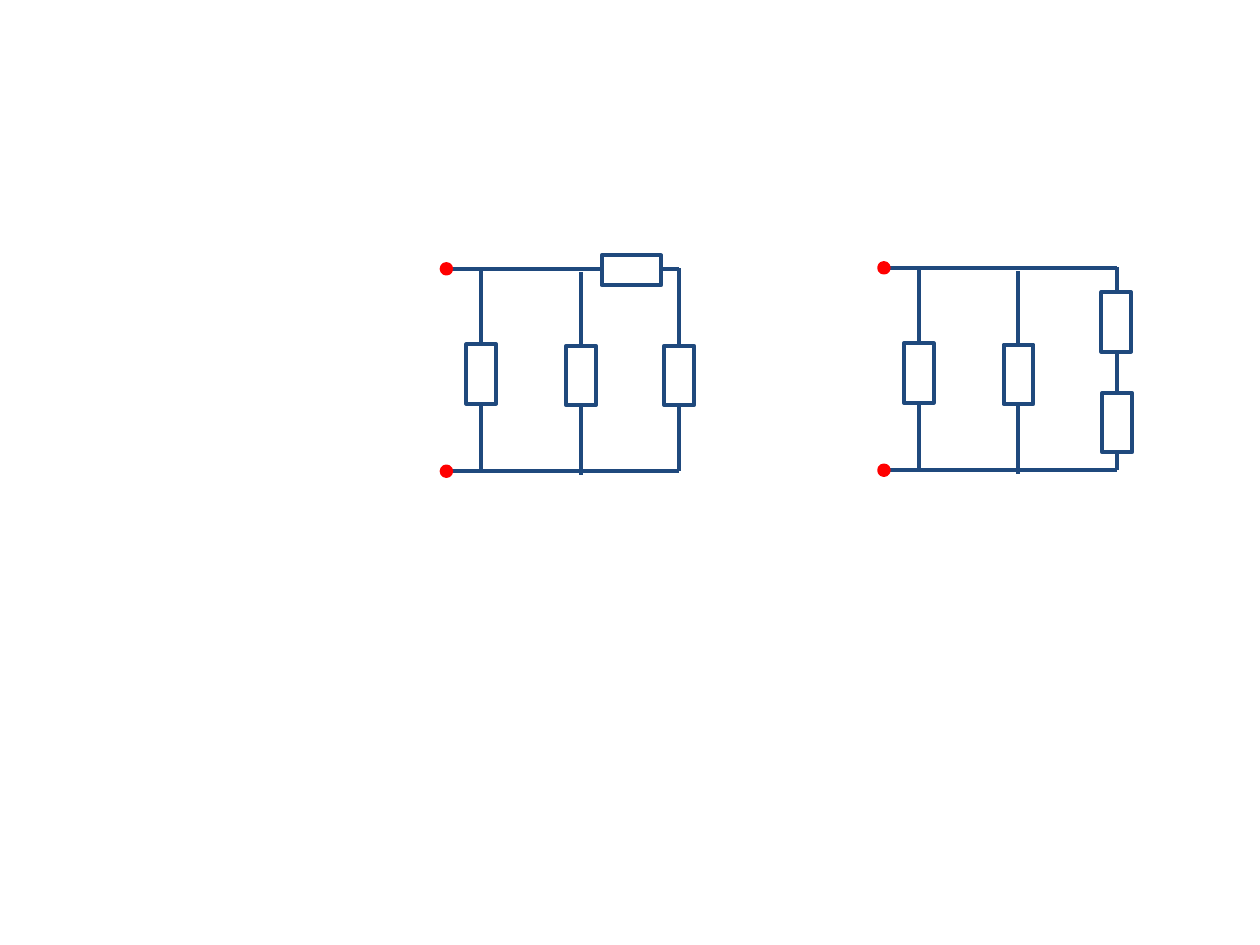
import pptx
import pptx.util
import pptx.dml.color
import pptx.enum.shapes
import pptx.oxml.ns
from lxml import etree
from pptx.util import Cm, Pt

HUES = {"wire": "1F497D", "body": "FFFFFF", "pole": "FF0000"}
KINDS = pptx.enum.shapes.MSO_SHAPE
LEFT, RIGHT = 9.09, 13.69
TOP, BASE = 5.42, 9.5
STEMS = [(9.7, 5.43, 9.52), (11.71, 5.49, 9.57), (RIGHT, 5.4, BASE)]


def hue(name):
    return pptx.dml.color.RGBColor.from_string(HUES[name])


def edge(line, name, width):
    line.color.rgb = hue(name)
    line.width = Pt(width)


def add_wire(slide, x1, y1, x2, y2):
    kind = pptx.enum.shapes.MSO_CONNECTOR.STRAIGHT
    wire = slide.shapes.add_connector(kind, Cm(x1), Cm(y1), Cm(x2), Cm(y2))
    edge(wire.line, "wire", 2.25)
    props = wire.element.find(pptx.oxml.ns.qn("p:spPr"))
    etree.SubElement(props, pptx.oxml.ns.qn("a:effectLst"))


def add_part(slide, kind, x, y, width, height, fill, line, weight):
    part = slide.shapes.add_shape(
        kind, Cm(x - width / 2), Cm(y - height / 2), Cm(width), Cm(height))
    part.shadow.inherit = False
    part.fill.solid()
    part.fill.fore_color.rgb = hue(fill)
    edge(part.line, line, weight)
    return part


def add_load(slide, x, y, turn=90):
    load = add_part(slide, KINDS.RECTANGLE, x, y, 1.2, 0.6, "body", "wire", 2.25)
    load.rotation = turn


def add_pole(slide, x, y):
    add_part(slide, KINDS.OVAL, x, y, 0.2, 0.2, "pole", "pole", 2)


def add_grid(slide, dx, dy, loads):
    for y in (TOP, BASE):
        add_wire(slide, LEFT + dx, y + dy, RIGHT + dx, y + dy)
    for x, top, base in STEMS:
        add_wire(slide, x + dx, base + dy, x + dx, top + dy)
    for x, y, turn in loads:
        add_load(slide, x + dx, y + dy, turn)
    for y in (TOP, BASE):
        add_pole(slide, LEFT - 0.09 + dx, y + dy)


def main():
    deck = pptx.Presentation()
    deck.slide_width, deck.slide_height = Cm(25.4), Cm(19.05)
    slide = deck.slides.add_slide(deck.slide_layouts[6])
    pair = [(9.7, 7.54, 90), (11.71, 7.57, 90)]
    add_grid(slide, 0, 0, pair + [(RIGHT, 7.57, 90), (12.73, 5.45, 0)])
    add_grid(slide, 8.82, -0.02, pair + [(13.7, 8.54, 90), (13.68, 6.51, 90)])
    deck.save("out.pptx")


if __name__ == "__main__":
    main()
